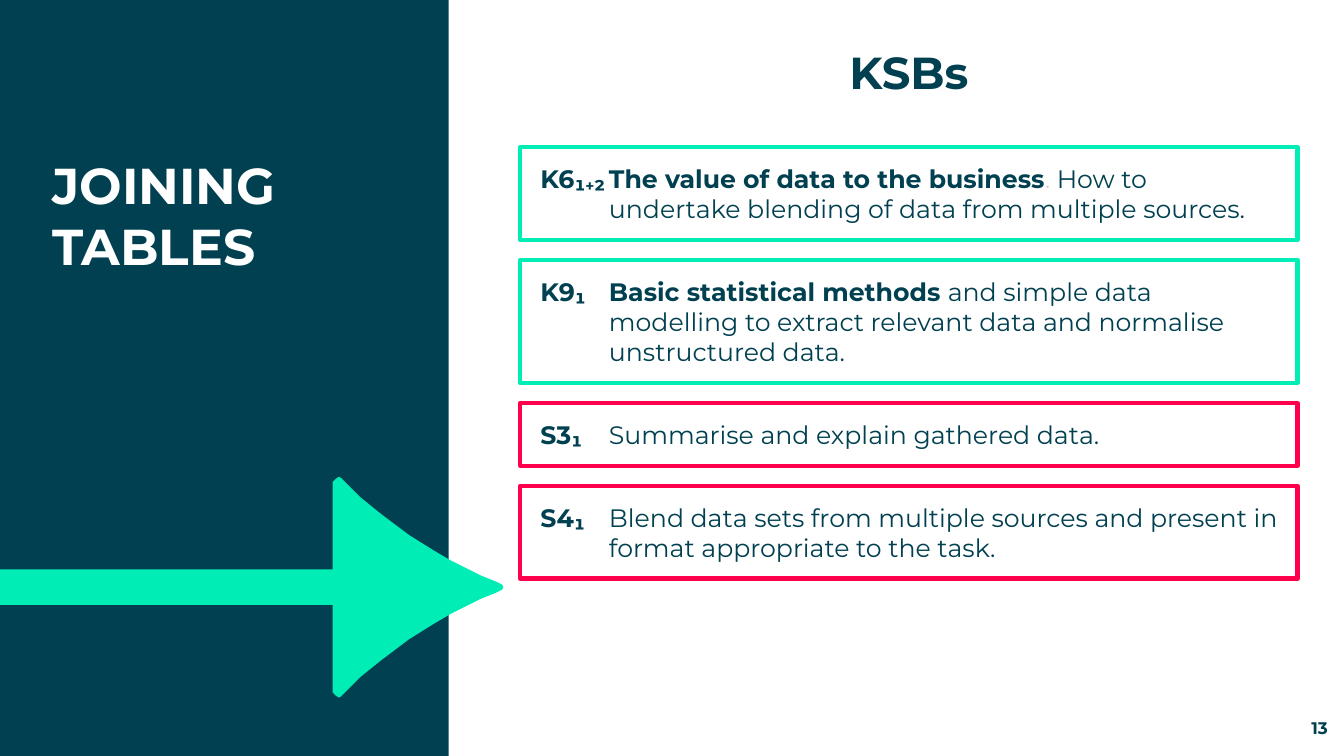
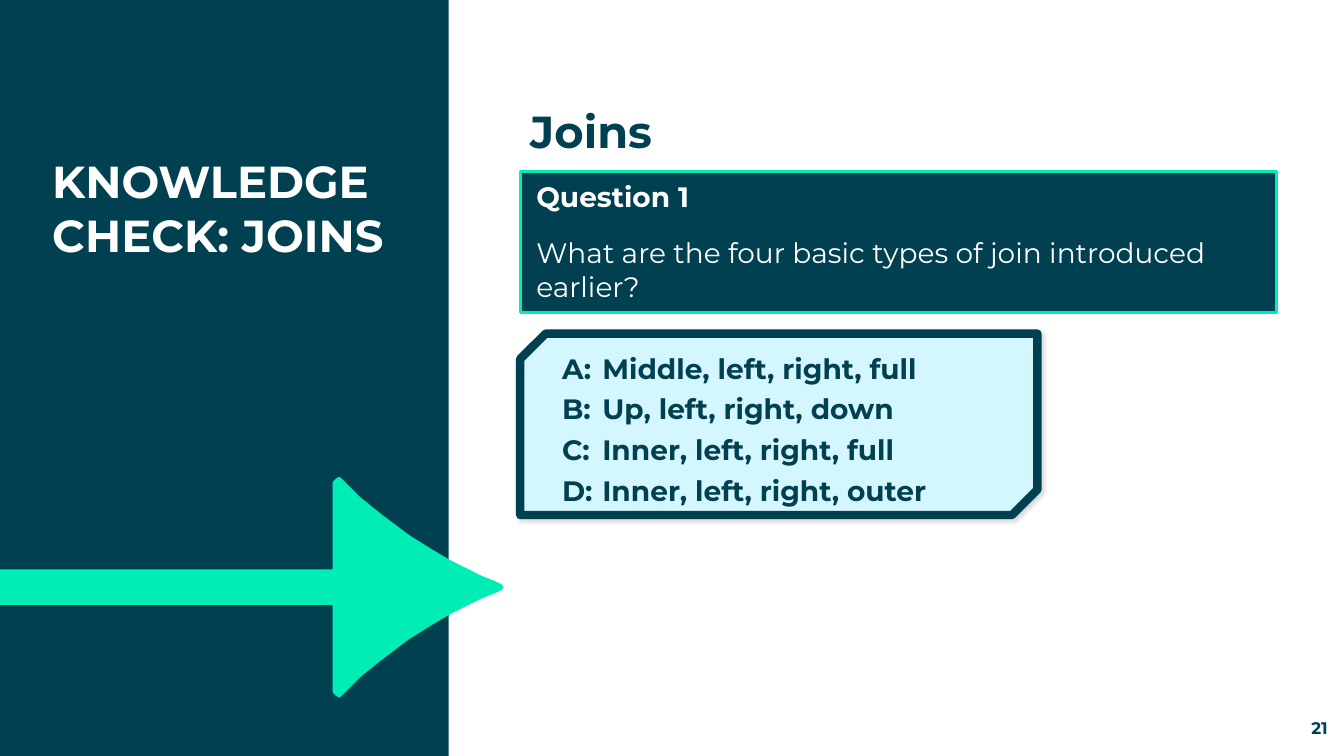
from lxml.etree import SubElement
from pptx import Presentation
from pptx.dml.color import RGBColor
from pptx.enum.shapes import MSO_SHAPE
from pptx.enum.text import MSO_ANCHOR, PP_ALIGN
from pptx.oxml.ns import qn
from pptx.util import Inches, Pt

NAVY, GREEN, RED, WHITE = "004050", "00EDB5", "FF004C", "FFFFFF"
PALE_BLUE, GREY = "D4F6FF", "D9D9D9"
FONT = "Montserrat"
ARROW_AXIS = 5.825
ARROW_TOP = [
    (0, 5.65), (3.3, 5.65), (3.3, 4.78), (3.33, 4.75), (3.36, 4.73),
    (3.38, 4.74), (3.57, 4.93), (3.78, 5.1), (4.06, 5.31), (4.3, 5.46),
    (4.47, 5.56), (4.61, 5.63), (4.77, 5.71), (4.92, 5.77), (4.98, 5.8),
    (4.99, 5.82),
]
KSBS = [
    (GREEN, 2, [("K6₁₊₂\tThe value of data to the business", True, NAVY),
                (".", False, GREY),
                (" How to undertake blending of data from multiple sources.", False, NAVY)]),
    (GREEN, 3, [("K9₁\tBasic statistical methods ", True, NAVY),
                ("and simple data modelling to extract relevant data and "
                 "normalise unstructured data.", False, NAVY)]),
    (RED, 1, [("S3₁\t", True, NAVY),
              ("Summarise and explain gathered data.", False, NAVY)]),
    (RED, 2, [("S4₁\t", True, NAVY),
              ("Blend data sets from multiple sources and present in format "
               "appropriate to the task.", False, NAVY)]),
]
ANSWERS = [
    "A:\tMiddle, left, right, full",
    "B:\tUp, left, right, down",
    "C:\tInner, left, right, full",
    "D:\tInner, left, right, outer",
]


def rgb(value):
    return RGBColor.from_string(value)


def write(sp, paragraphs, size=18, align=PP_ALIGN.LEFT, anchor=MSO_ANCHOR.TOP,
          insets=(0.1, 0.05, 0.1, 0.05), hanging=None, after=0, spacing=None):
    tf = sp.text_frame
    tf.word_wrap = True
    tf.vertical_anchor = anchor
    tf.margin_left, tf.margin_top, tf.margin_right, tf.margin_bottom = map(Inches, insets)
    for i, runs in enumerate(paragraphs):
        p = tf.add_paragraph() if i else tf.paragraphs[0]
        p.alignment = align
        p.space_after = Pt(after)
        if spacing:
            p.line_spacing = Pt(spacing)
        if hanging:
            left, indent = hanging
            pPr = p._p.get_or_add_pPr()
            pPr.set("marL", str(Inches(left)))
            pPr.set("indent", str(Inches(-indent)))
        for text, bold, color in runs:
            r = p.add_run()
            r.text = text
            r.font.name = FONT
            r.font.size = Pt(size)
            r.font.bold = bold
            r.font.color.rgb = rgb(color)


class Deck:
    def __init__(self):
        self.prs = Presentation()
        self.prs.slide_width, self.prs.slide_height = Inches(13.33), Inches(7.5)
        self.s = None

    def style(self, sp, fill, line=None, width=0):
        sp.shadow.inherit = False
        sp.fill.solid()
        sp.fill.fore_color.rgb = rgb(fill)
        if line:
            sp.line.color.rgb = rgb(line)
            sp.line.width = Pt(width)
        else:
            sp.line.fill.background()
        return sp

    def box(self, at, fill, line=None, width=0, kind=MSO_SHAPE.RECTANGLE):
        sp = self.s.shapes.add_shape(kind, *map(Inches, at))
        return self.style(sp, fill, line, width)

    def text(self, at, text, color=NAVY, **fmt):
        sp = self.s.shapes.add_textbox(*map(Inches, at))
        write(sp, [[(text, True, color)]], **fmt)

    def arrow(self):
        bottom = [(x, 2 * ARROW_AXIS - y) for x, y in reversed(ARROW_TOP)]
        start, *rest = [(Inches(x), Inches(y)) for x, y in ARROW_TOP + bottom]
        builder = self.s.shapes.build_freeform(*start)
        builder.add_line_segments(rest, close=True)
        self.style(builder.convert_to_shape(), GREEN)

    def shadow(self, sp):
        effects = sp._element.spPr.find(qn("a:effectLst"))
        outer = SubElement(effects, qn("a:outerShdw"), blurRad=str(Pt(3)),
                           dist=str(Pt(2)), dir="2700000", algn="tl", rotWithShape="0")
        color = SubElement(outer, qn("a:srgbClr"), val="000000")
        SubElement(color, qn("a:alpha"), val="15000")

    def slide(self, title, title_size, number):
        self.s = self.prs.slides.add_slide(self.prs.slide_layouts[6])
        self.box((0, 0, 4.45, 7.5), NAVY)
        self.arrow()
        self.text((0.42, 1.48, 3.77, 3.01), title, WHITE, size=title_size)
        self.text((12.31, 7.12, 0.86, 0.2), number, size=12, align=PP_ALIGN.RIGHT,
                  anchor=MSO_ANCHOR.BOTTOM, insets=(0, 0, 0, 0))

    def heading(self, top, text, align):
        self.text((5.16, top, 7.71, 1.16), text, size=32, align=align,
                  anchor=MSO_ANCHOR.MIDDLE, spacing=42)


def ksb_slide(deck):
    deck.slide("JOINING TABLES", 36, "13")
    deck.heading(0.11, "KSBs", PP_ALIGN.CENTER)
    top, gap = 1.46, 0.2
    for line, rows, runs in KSBS:
        height = 0.32 + 0.3 * rows
        sp = deck.box((5.16, top, 7.71, height), WHITE, line, 3)
        write(sp, [runs], insets=(0.2, 0.16, 0.16, 0.16), hanging=(0.68, 0.68))
        top += height + gap


def question_slide(deck):
    deck.slide("KNOWLEDGE CHECK: JOINS", 32, "21")
    deck.heading(0.69, "Joins", PP_ALIGN.LEFT)
    question = deck.box((5.16, 1.7, 7.5, 1.4), NAVY, GREEN, 2.25)
    write(question, [
        [("Question 1", True, WHITE)],
        [("What are the four basic types of join introduced earlier?", False, WHITE)],
    ], size=20, insets=(0.16, 0.08, 0.16, 0.08), after=16)
    answers = deck.box((5.16, 3.31, 5.13, 1.8), PALE_BLUE, NAVY, 6,
                       MSO_SHAPE.SNIP_2_DIAG_RECTANGLE)
    answers.adjustments[0], answers.adjustments[1] = 0.14, 0
    deck.shadow(answers)
    write(answers, [[(answer, True, NAVY)] for answer in ANSWERS],
          size=20, hanging=(0.59, 0.4), after=5)


def main():
    deck = Deck()
    ksb_slide(deck)
    question_slide(deck)
    deck.prs.save("out.pptx")


if __name__ == "__main__":
    main()
